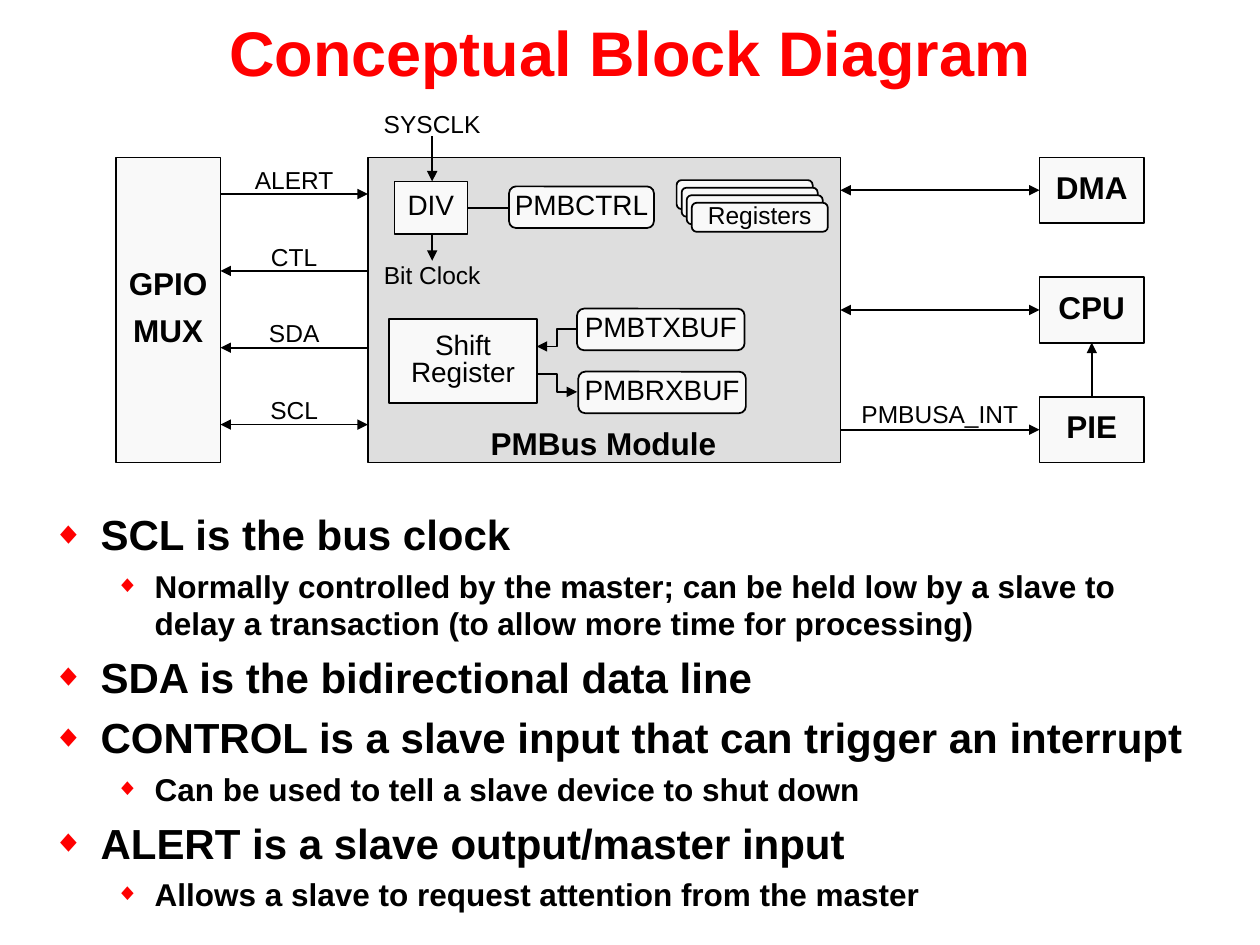
from pptx import Presentation
from pptx.util import Inches, Pt
from pptx.dml.color import RGBColor
from pptx.enum.shapes import MSO_SHAPE as Kind, MSO_CONNECTOR as Link
from pptx.enum.text import PP_ALIGN as Align, MSO_ANCHOR as Anchor
from pptx.oxml.ns import qn
from lxml.etree import SubElement

BLACK, RED, PALE, GREY = "000000", "FF0000", "F9F9F9", "DEDEDE"


def tint(code):
    return RGBColor.from_string(code)


def write(frame, text, size=16, bold=False, color=BLACK, align=Align.CENTER,
          inset=0, wrap=True, anchor=Anchor.MIDDLE, lead=0.8, gap=0):
    frame.word_wrap = wrap
    frame.vertical_anchor = anchor
    frame.margin_left = frame.margin_right = Inches(inset)
    frame.margin_top = frame.margin_bottom = Inches(inset / 2)
    for i, line in enumerate(text.split("\n")):
        para = frame.add_paragraph() if i else frame.paragraphs[0]
        para.alignment = align
        para.line_spacing = lead
        para.space_before = Pt(gap if i else 0)
        run = para.add_run()
        run.text = line
        font = run.font
        font.name, font.size, font.bold = "Arial", Pt(size), bold
        font.color.rgb = tint(color)


def label(slide, x, y, w, h, text, **form):
    box = slide.shapes.add_textbox(Inches(x), Inches(y), Inches(w), Inches(h))
    write(box.text_frame, text, **form)
    return box


def block(slide, x, y, w, h, text="", kind=Kind.RECTANGLE, fill=PALE, **form):
    box = slide.shapes.add_shape(kind, Inches(x), Inches(y), Inches(w), Inches(h))
    box.shadow.inherit = False
    box.fill.solid()
    box.fill.fore_color.rgb = tint(fill)
    box.line.color.rgb = tint(BLACK)
    box.line.width = Pt(1)
    if text:
        write(box.text_frame, text, **form)


def pill(slide, x, y, w, h, text="", **form):
    block(slide, x, y, w, h, text, kind=Kind.ROUNDED_RECTANGLE, **form)


def wire(slide, x1, y1, x2, y2, ends=("tailEnd",), kind=Link.STRAIGHT):
    line = slide.shapes.add_connector(kind, Inches(x1), Inches(y1), Inches(x2), Inches(y2))
    line.line.color.rgb = tint(BLACK)
    line.line.width = Pt(1)
    props = line._element.spPr
    for end in ends:
        SubElement(props.find(qn("a:ln")), qn("a:" + end), type="triangle")
    SubElement(props, qn("a:effectLst"))


BOTH = ("headEnd", "tailEnd")


def pins(slide, x, y, w, h):
    port = 0.83
    block(slide, x, y, port, h, "GPIO\nMUX", size=18, bold=True, inset=0.1, gap=10)
    rows = [("ALERT", ("tailEnd",)), ("CTL", ("headEnd",)), ("SDA", ("headEnd",)), ("SCL", BOTH)]
    for i, (name, ends) in enumerate(rows):
        top = y + 0.29 + i * 0.61
        wire(slide, x + port, top, x + w, top, ends)
        label(slide, x + port, top - 0.19, w - port, 0.19, name, size=14, wrap=False)


def module(slide, x, y, w, h):
    block(slide, x, y, w, h, fill=GREY)
    label(slide, x + 0.91, y + 2.12, 1.92, 0.34, "PMBus Module", size=18, bold=True, wrap=False)
    mid = x + 0.51
    label(slide, mid - 0.39, y - 0.34, 0.78, 0.19, "SYSCLK", size=14, wrap=False)
    wire(slide, mid, y - 0.17, mid, y + 0.19)
    block(slide, x + 0.21, y + 0.19, 0.58, 0.42, "DIV")
    wire(slide, mid, y + 0.61, mid, y + 0.82)
    label(slide, mid - 0.39, y + 0.86, 0.78, 0.19, "Bit Clock", size=14, wrap=False)
    wire(slide, x + 0.79, y + 0.4, x + 1.12, y + 0.4, ())
    pill(slide, x + 1.12, y + 0.23, 1.15, 0.33, "PMBCTRL")
    for i in range(4):
        pill(slide, x + 2.45 + i * 0.04, y + 0.18 + i * 0.06, 1.08, 0.23,
             "Registers" if i == 3 else "", size=14)
    block(slide, x + 0.17, y + 1.28, 1.17, 0.67, "Shift Register", inset=0.1)
    pill(slide, x + 1.66, y + 1.2, 1.33, 0.33, "PMBTXBUF")
    pill(slide, x + 1.67, y + 1.7, 1.33, 0.33, "PMBRXBUF")
    wire(slide, x + 1.66, y + 1.36, x + 1.34, y + 1.5, kind=Link.ELBOW)
    wire(slide, x + 1.34, y + 1.72, x + 1.66, y + 1.86, kind=Link.ELBOW)


def hosts(slide, x, y, w, h):
    wide, tall = 0.83, 0.52
    left, step = x + w - wide, (h - tall) / 2
    for i, (name, ends) in enumerate([("DMA", BOTH), ("CPU", BOTH), ("PIE", ("tailEnd",))]):
        top = y + i * step
        block(slide, left, top, wide, tall, name, size=18, bold=True, inset=0.1)
        wire(slide, x, top + tall / 2, left, top + tall / 2, ends)
    label(slide, x + 0.16, y + 1.96, 1.26, 0.19, "PMBUSA_INT", size=14, wrap=False)
    wire(slide, left + wide / 2, y + 2 * step, left + wide / 2, y + step + tall)


def notes(slide, x, y, w, h):
    items = [
        (0, "SCL is the bus clock"),
        (1, "Normally controlled by the master; can be held low by a slave to "
            "delay a transaction (to allow more time for processing)"),
        (0, "SDA is the bidirectional data line"),
        (0, "CONTROL is a slave input that can trigger an interrupt"),
        (1, "Can be used to tell a slave device to shut down"),
        (0, "ALERT is a slave output/master input"),
        (1, "Allows a slave to request attention from the master"),
    ]
    box = label(slide, x, y, w, h, "\n".join(text for _, text in items), bold=True,
                align=Align.LEFT, inset=0.1, anchor=Anchor.TOP, lead=1.0)
    for para, (level, _) in zip(box.text_frame.paragraphs, items):
        size, left, hang = [(24, 0.38, 0.38), (18, 0.81, 0.31)][level]
        para.level = level
        para.space_before = Pt(size * 0.23)
        para.runs[0].font.size = Pt(size)
        props = para._p.get_or_add_pPr()
        props.set("marL", str(Inches(left)))
        props.set("indent", str(-Inches(hang)))
        SubElement(SubElement(props, qn("a:buClr")), qn("a:srgbClr"), val=RED)
        SubElement(props, qn("a:buSzPct"), val="75000")
        SubElement(props, qn("a:buFont"), typeface="Arial")
        SubElement(props, qn("a:buChar"), char="◆")


def main():
    deck = Presentation()
    deck.slide_width, deck.slide_height = Inches(10), Inches(7.5)
    slide = deck.slides.add_slide(deck.slide_layouts[6])
    label(slide, 0, 0, 10, 0.81, "Conceptual Block Diagram", size=36, bold=True,
          color=RED, inset=0.1, lead=1.0)
    notes(slide, 0.32, 3.99, 9.33, 3.33)
    pins(slide, 0.92, 1.25, 2, 2.42)
    module(slide, 2.92, 1.25, 3.75, 2.42)
    hosts(slide, 6.67, 1.25, 2.41, 2.42)
    deck.save("out.pptx")


if __name__ == "__main__":
    main()
